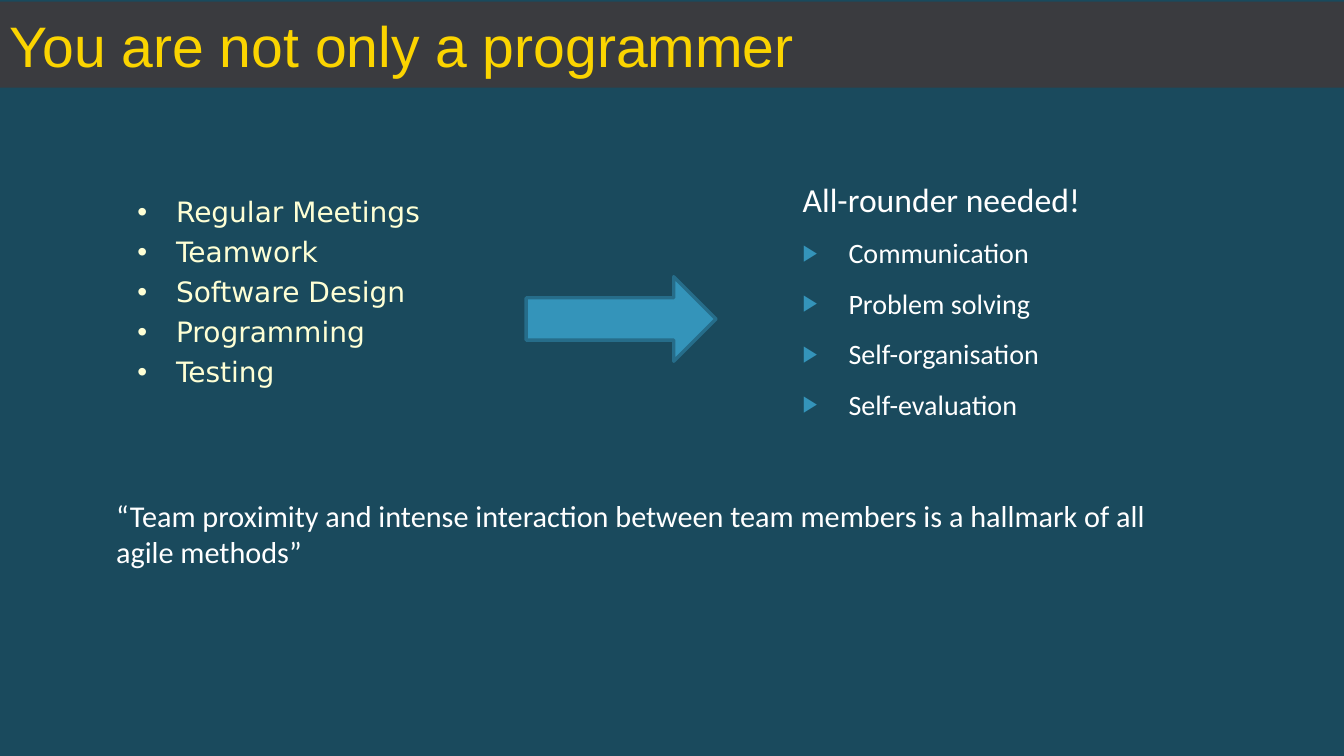
from lxml import etree
from pptx import Presentation
from pptx.dml.color import RGBColor as RGB
from pptx.enum.shapes import MSO_SHAPE as SHAPE
from pptx.enum.text import MSO_ANCHOR as ANCHOR, MSO_AUTO_SIZE as AUTO, PP_ALIGN as ALIGN
from pptx.oxml.ns import qn
from pptx.util import Inches, Pt

TEAL = RGB(0x1A, 0x4A, 0x5D)
CHARCOAL = RGB(0x3A, 0x3B, 0x3F)
YELLOW = RGB(0xFB, 0xD4, 0x00)
CREAM = RGB(0xFE, 0xFF, 0xD5)
WHITE = RGB(0xFF, 0xFF, 0xFF)
BLUE = RGB(0x34, 0x94, 0xBA)
DARK_BLUE = RGB(0x26, 0x6D, 0x8A)


def set_bullet(p, char, indent, color, scale):
    """Give a paragraph a hanging bullet, or none if char is empty."""
    pPr = p._p.get_or_add_pPr()
    pPr.set("marL", str(Inches(indent)))
    pPr.set("indent", str(-Inches(indent)))
    if not char:
        etree.SubElement(pPr, qn("a:buNone"))
        return
    if color is not None:
        clr = etree.SubElement(pPr, qn("a:buClr"))
        etree.SubElement(clr, qn("a:srgbClr"), val=str(color))
    etree.SubElement(pPr, qn("a:buSzPct"), val=str(scale * 1000))
    etree.SubElement(pPr, qn("a:buFont"), typeface="Arial")
    etree.SubElement(pPr, qn("a:buChar"), char=char)


def add_text(tf, text, size=18, font="Calibri", color=WHITE, before=0,
             bullet="", indent=0, bullet_color=None, bullet_scale=100):
    """Write one formatted paragraph, reusing the empty first one."""
    p = tf.paragraphs[0] if not tf.paragraphs[0].runs else tf.add_paragraph()
    p.alignment = ALIGN.LEFT
    p.space_before = Pt(before)
    set_bullet(p, bullet, indent, bullet_color, bullet_scale)
    r = p.add_run()
    r.text = text
    r.font.size, r.font.name = Pt(size), font
    r.font.color.rgb = color


class Deck:
    """Slide builder; every box is left, top, width, height in percent."""

    def __init__(self, width, height):
        self.prs = Presentation()
        self.prs.slide_width, self.prs.slide_height = Inches(width), Inches(height)

    def new_slide(self, background):
        self.s = self.prs.slides.add_slide(self.prs.slide_layouts[3])
        fill = self.s.background.fill
        fill.solid()
        fill.fore_color.rgb = background

    def box(self, left, top, width, height):
        w, h = self.prs.slide_width, self.prs.slide_height
        return [int(v * side / 100)
                for v, side in zip((left, top, width, height), (w, h, w, h))]

    def frame(self, sp, anchor=ANCHOR.TOP, inset=(0.08, 0.04)):
        tf = sp.text_frame
        tf.word_wrap, tf.auto_size = True, AUTO.NONE
        tf.vertical_anchor = anchor
        tf.margin_left = tf.margin_right = Inches(inset[0])
        tf.margin_top = tf.margin_bottom = Inches(inset[1])
        return tf

    def placeholder(self, idx, box, anchor=ANCHOR.TOP):
        sp = self.s.placeholders[idx]
        sp.left, sp.top, sp.width, sp.height = self.box(*box)
        return sp, self.frame(sp, anchor)

    def title(self, text, box):
        sp, tf = self.placeholder(0, box, ANCHOR.MIDDLE)
        sp.fill.solid()
        sp.fill.fore_color.rgb = CHARCOAL
        add_text(tf, text, size=34, font="Arial", color=YELLOW)

    def bullets(self, idx, items, box, heading=None, **style):
        _, tf = self.placeholder(idx, box)
        if heading:
            add_text(tf, heading, size=20, before=style["before"])
        for item in items:
            add_text(tf, item, size=16.7, **style)

    def arrow(self, box):
        sp = self.s.shapes.add_shape(SHAPE.RIGHT_ARROW, *self.box(*box))
        sp.shadow.inherit = False
        sp.fill.solid()
        sp.fill.fore_color.rgb = BLUE
        sp.line.color.rgb, sp.line.width = DARK_BLUE, Pt(2)

    def text_box(self, lines, box):
        sp = self.s.shapes.add_textbox(*self.box(*box))
        tf = self.frame(sp, inset=(0.1, 0.05))
        for line in lines:
            add_text(tf, line)


def main():
    deck = Deck(11.11, 6.25)
    deck.new_slide(TEAL)

    # Title band
    deck.title("You are not only a programmer", (0, 0.2, 100, 11.4))

    # Daily work leads to the skills it needs
    deck.bullets(1, ["Regular Meetings", "Teamwork", "Software Design",
                     "Programming", "Testing"], (9.5, 25.1, 26.4, 36.6),
                 font="DejaVu Sans", color=CREAM, before=3.8,
                 bullet="•", indent=0.32)
    deck.bullets(2, ["Communication", "Problem solving", "Self-organisation",
                     "Self-evaluation"], (59, 23, 26.4, 36.6),
                 heading="All-rounder needed!", before=10, bullet="▶",
                 indent=0.38, bullet_color=BLUE, bullet_scale=80)
    deck.arrow((39.15, 36.6, 14.13, 11.2))

    # Closing quote
    deck.text_box(["“Team proximity and intense interaction between team "
                   "members is a hallmark of all", "agile methods”"],
                  (7.75, 65, 84.5, 11.4))

    deck.prs.save("out.pptx")


if __name__ == "__main__":
    main()
